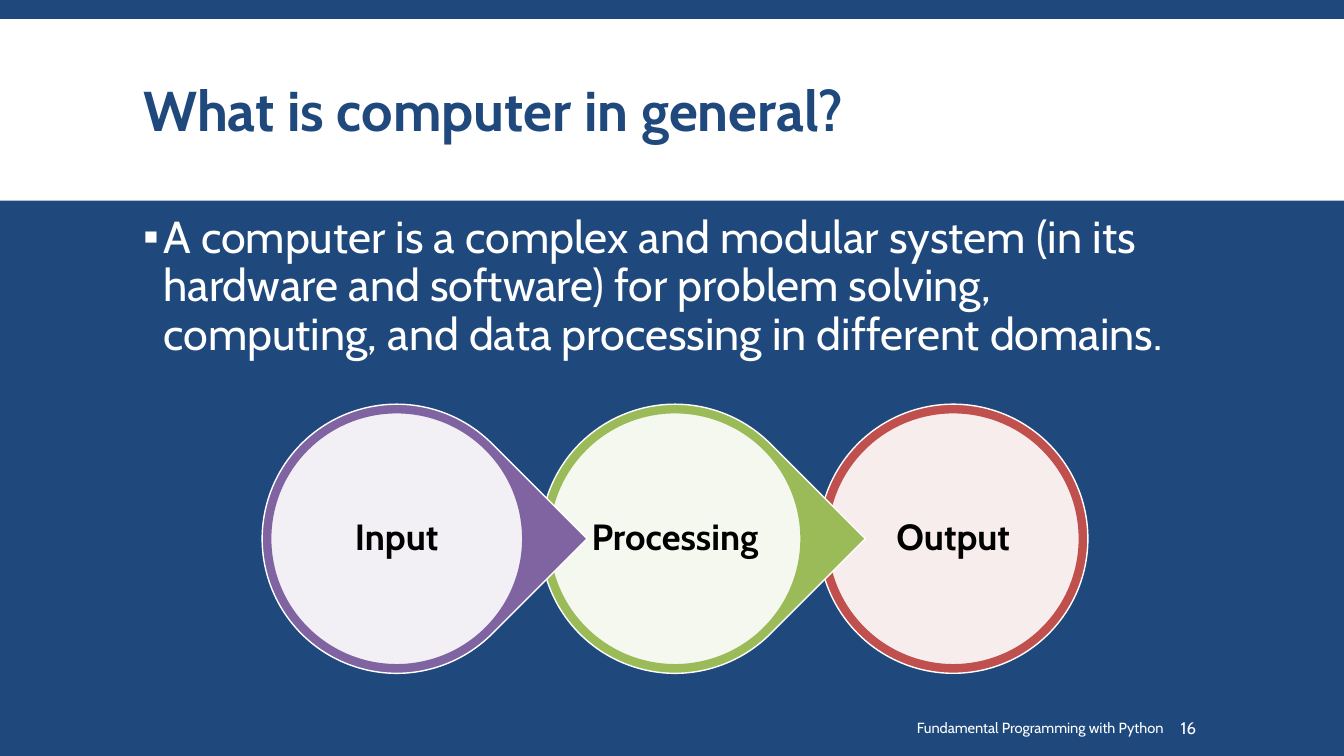
from pptx import Presentation, util as u
from pptx.dml.color import RGBColor
from pptx.enum import shapes, text
from pptx.oxml import ns, xmlchemy

COLORS = {"navy": "1F497D", "white": "FFFFFF", "black": "000000",
          "purple": "8064A2", "green": "9BBB59", "red": "C0504D"}
FONT = "Cabin"


class SlideBuilder:
    """Holds the style and the current slide, and adds each kind of element."""

    def __init__(self, deck):
        self.slide = deck.slides.add_slide(deck.slide_layouts[1])
        background = self.slide.background.fill
        background.solid()
        background.fore_color.rgb = self.color("navy")

    def color(self, name):
        return RGBColor.from_string(COLORS[name])

    def place(self, shape, box):
        shape.left, shape.top, shape.width, shape.height = map(u.Inches, box)

    def set_words(self, shape, words, size, color, bold=False, align=text.PP_ALIGN.LEFT,
                  anchor=text.MSO_ANCHOR.MIDDLE, spacing=1.0, insets=(0.1, 0.05, 0.1, 0.05)):
        frame = shape.text_frame
        frame.word_wrap = True
        frame.auto_size = text.MSO_AUTO_SIZE.NONE
        frame.vertical_anchor = anchor
        (frame.margin_left, frame.margin_top,
         frame.margin_right, frame.margin_bottom) = map(u.Inches, insets)
        paragraph = frame.paragraphs[0]
        paragraph.alignment = align
        paragraph.line_spacing = spacing
        run = paragraph.add_run()
        run.text = words
        run.font.name = FONT
        run.font.size = u.Pt(size)
        run.font.bold = bold
        run.font.color.rgb = self.color(color)
        return paragraph

    def title(self, words, box):
        heading = self.slide.shapes.title
        self.place(heading, box)
        self.set_words(heading, words, 40, "navy", bold=True, spacing=0.85)

    def bullet(self, words, box):
        body = self.slide.placeholders[1]
        self.place(body, box)
        item = self.set_words(body, words, 32, "white", anchor=text.MSO_ANCHOR.TOP, spacing=0.9)
        item.space_before, item.space_after = u.Pt(12), u.Pt(2)
        properties = item._p.get_or_add_pPr()
        properties.set("marL", str(u.Inches(0.2)))
        properties.set("indent", str(u.Inches(-0.2)))
        color = xmlchemy.OxmlElement("a:buClr")
        xml_rgb = xmlchemy.OxmlElement("a:srgbClr")
        xml_rgb.set("val", COLORS["white"])
        color.append(xml_rgb)
        mark = xmlchemy.OxmlElement("a:buChar")
        mark.set("char", "▪")
        properties.extend([color, mark])

    def label(self, words, box, size, color="white", **style):
        holder = self.slide.shapes.add_textbox(*map(u.Inches, box))
        self.set_words(holder, words, size, color, **style)

    def shape(self, kind, box, fill, line=None, opacity=None):
        figure = self.slide.shapes.add_shape(kind, *map(u.Inches, box))
        figure.shadow.inherit = False
        figure.fill.solid()
        figure.fill.fore_color.rgb = self.color(fill)
        if line:
            figure.line.color.rgb = self.color(line)
            figure.line.width = u.Pt(1)
        else:
            figure.line.fill.background()
        if opacity:
            alpha = xmlchemy.OxmlElement("a:alpha")
            alpha.set("val", str(opacity * 1000))
            fill_xml = figure.element.spPr.find(ns.qn("a:solidFill"))
            fill_xml.find(ns.qn("a:srgbClr")).append(alpha)
        return figure

    def band(self, box):
        strip = self.shape(shapes.MSO_SHAPE.RECTANGLE, box, "white")
        self.slide.shapes.element.insert(2, strip.element)

    def stage(self, name, left, color, pointed):
        top, outer, inner, words = 4.01, 2.67, 2.5, 1.78
        oval = shapes.MSO_SHAPE.OVAL
        ring = self.shape(shapes.MSO_SHAPE.TEAR if pointed else oval,
                          (left, top, outer, outer), color, "white")
        if pointed:
            ring.adjustments[0] = 1.0
            ring.rotation = 45
        gap = (outer - inner) / 2
        self.shape(oval, (left + gap, top + gap, inner, inner), "white", color, opacity=90)
        gap = (outer - words) / 2
        self.label(name, (left + gap, top + gap, words, words), 26, "black", bold=True,
                   align=text.PP_ALIGN.CENTER, spacing=0.9, insets=(0.04,) * 4)


def main():
    deck = Presentation()
    deck.slide_width, deck.slide_height = u.Inches(13.33), u.Inches(7.5)
    builder = SlideBuilder(deck)
    builder.band((0, 0.19, 13.33, 1.8))
    builder.title("What is computer in general?", (1.32, 0.31, 10.7, 1.65))
    builder.bullet("A computer is a complex and modular system (in its hardware and software) "
                   "for problem solving, computing, and data processing in different domains.",
                   (1.32, 2.08, 10.84, 4.72))
    builder.label("Fundamental Programming with Python", (6.12, 7.02, 5.52, 0.4), 10.5,
                  align=text.PP_ALIGN.RIGHT)
    builder.label("16", (11.66, 7.02, 1.03, 0.4), 12, insets=(0.05, 0.05, 0.1, 0.05))
    stages = [("Input", "purple"), ("Processing", "green"), ("Output", "red")]
    for step, (name, color) in reversed(list(enumerate(stages))):
        builder.stage(name, 2.6 + 2.76 * step, color, pointed=step < len(stages) - 1)
    deck.save("out.pptx")


if __name__ == "__main__":
    main()
